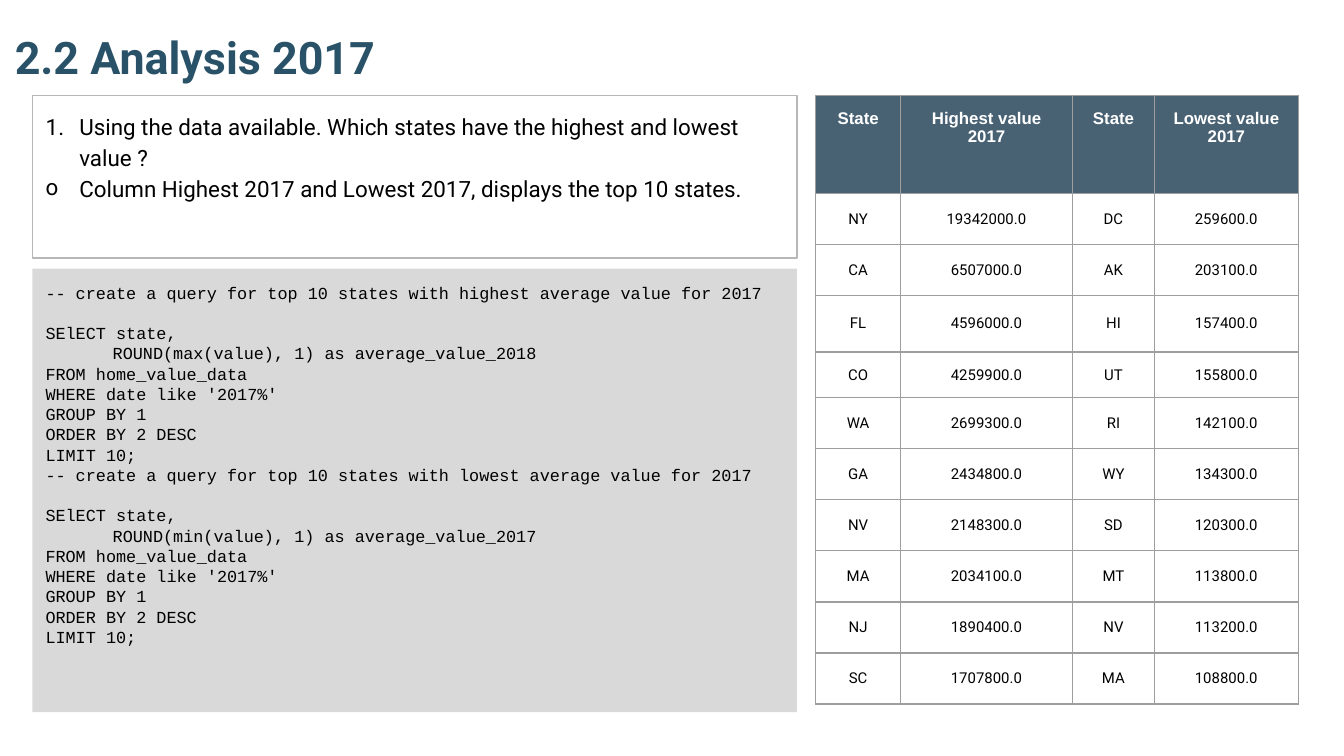
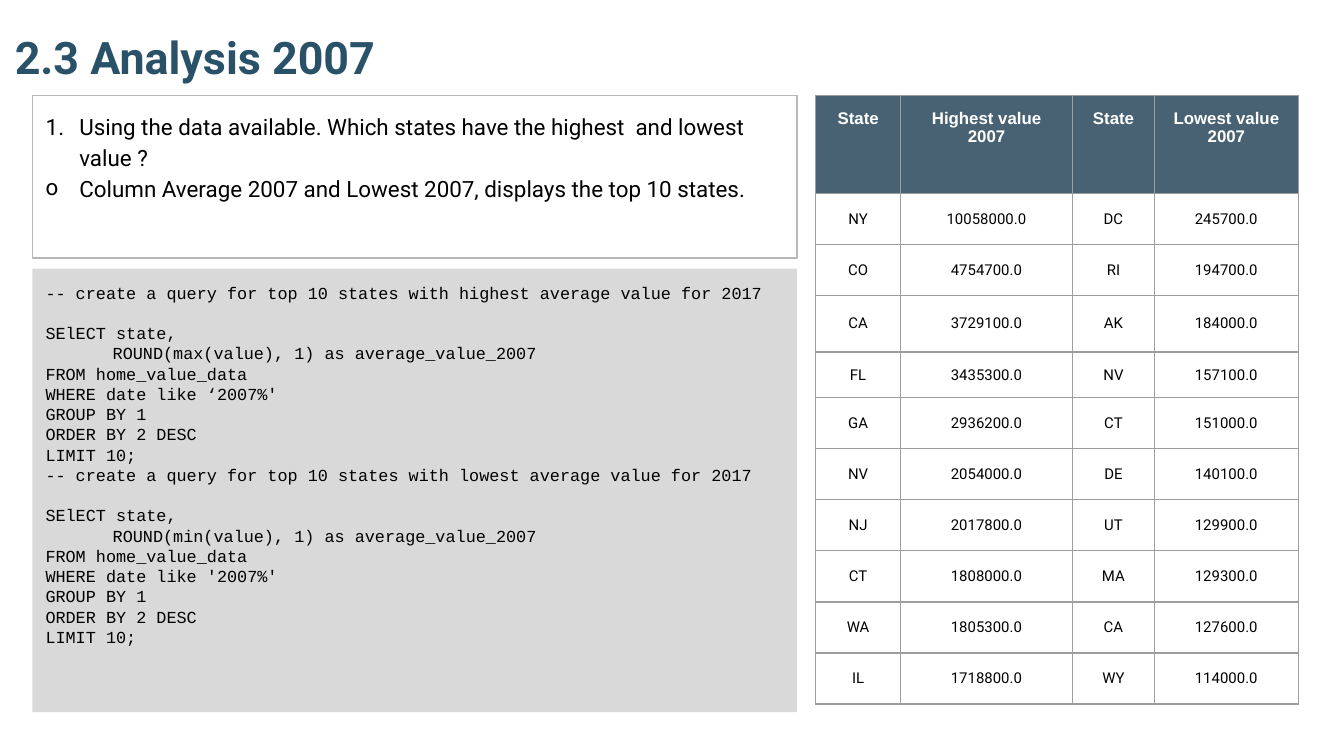
from lxml import etree
from pptx import Presentation
from pptx.dml.color import RGBColor
from pptx.enum.shapes import MSO_SHAPE
from pptx.enum.text import MSO_ANCHOR, MSO_AUTO_SIZE, PP_ALIGN
from pptx.oxml import parse_xml
from pptx.oxml.ns import nsdecls, qn
from pptx.util import Pt

PX = 4572  # EMU; 200 px to the inch
RECT = MSO_SHAPE.RECTANGLE
TOP, MIDDLE, BOTTOM = MSO_ANCHOR.TOP, MSO_ANCHOR.MIDDLE, MSO_ANCHOR.BOTTOM
LEFT, CENTER = PP_ALIGN.LEFT, PP_ALIGN.CENTER
NO_FIT = MSO_AUTO_SIZE.NONE

COLORS = {
    "title": "295269",
    "text": "000000",
    "frame": "B7B7B7",
    "code": "D9D9D9",
    "grid": "9E9E9E",
    "header": "204056",
    "header_text": "FFFFFF",
}
FORMATS = {
    "title": {"name": "Roboto", "size": Pt(24), "bold": True},
    "text": {"name": "Roboto", "size": Pt(12), "bold": False},
    "code": {"name": "Courier New", "size": Pt(9), "bold": False},
    "header": {"name": "Arial", "size": Pt(9), "bold": True},
    "cell": {"name": "Roboto", "size": Pt(8), "bold": False},
}

TITLE_BOX = (2, -40, 1864, 184)
QUESTION_BOX = (48, 142, 1138, 242)
CODE_BOX = (48, 400, 1138, 660)
TABLE_BOX = (1214, 142, 718, 906)
COL_WIDTHS = [126, 256, 122, 214]
ROW_HEIGHTS = [146, 76, 76, 84, 68] + [76] * 6
PAD, CELL_PAD = 20, 2
BULLETS = ['<a:buAutoNum {} type="arabicPeriod"/>', '<a:buChar {} char="o"/>']

ANALYSES = [
    {
        "title": "2.2 Analysis 2017",
        "year": "2017",
        "points": [
            "Using the data available. Which states have the highest and lowest value ?",
            "Column Highest 2017 and Lowest 2017, displays the top 10 states.",
        ],
        "queries": [("highest", "max", "2018", "'"), ("lowest", "min", "2017", "'")],
        "rows": [
            ("NY", "19342000.0", "DC", "259600.0"),
            ("CA", "6507000.0", "AK", "203100.0"),
            ("FL", "4596000.0", "HI", "157400.0"),
            ("CO", "4259900.0", "UT", "155800.0"),
            ("WA", "2699300.0", "RI", "142100.0"),
            ("GA", "2434800.0", "WY", "134300.0"),
            ("NV", "2148300.0", "SD", "120300.0"),
            ("MA", "2034100.0", "MT", "113800.0"),
            ("NJ", "1890400.0", "NV", "113200.0"),
            ("SC", "1707800.0", "MA", "108800.0"),
        ],
    },
    {
        "title": "2.3 Analysis 2007",
        "year": "2007",
        "points": [
            "Using the data available. Which states have the highest  and lowest value ?",
            "Column Average 2007 and Lowest 2007, displays the top 10 states.",
        ],
        "queries": [("highest", "max", "2007", "‘"), ("lowest", "min", "2007", "'")],
        "rows": [
            ("NY", "10058000.0", "DC", "245700.0"),
            ("CO", "4754700.0", "RI", "194700.0"),
            ("CA", "3729100.0", "AK", "184000.0"),
            ("FL", "3435300.0", "NV", "157100.0"),
            ("GA", "2936200.0", "CT", "151000.0"),
            ("NV", "2054000.0", "DE", "140100.0"),
            ("NJ", "2017800.0", "UT", "129900.0"),
            ("CT", "1808000.0", "MA", "129300.0"),
            ("WA", "1805300.0", "CA", "127600.0"),
            ("IL", "1718800.0", "WY", "114000.0"),
        ],
    },
]


def place(sp, box):
    for attr, value in zip(("left", "top", "width", "height"), box):
        setattr(sp, attr, value * PX)


def write(holder, lines, style, color, align=LEFT, anchor=TOP, pad=PAD):
    """Fill a shape or table cell with one paragraph per line."""
    tf = holder.text_frame
    # A cell keeps its margins and anchor itself; a shape keeps them in its frame.
    frame = holder if hasattr(holder, "margin_left") else tf
    for side in ("left", "top", "right", "bottom"):
        setattr(frame, f"margin_{side}", pad * PX)
    frame.vertical_anchor = anchor
    tf.word_wrap = True
    for i, line in enumerate(lines):
        p = tf.paragraphs[0] if i == 0 else tf.add_paragraph()
        p.alignment = align
        p.space_before = Pt(0)
        r = p.add_run()
        r.text = line
        for attr, value in FORMATS[style].items():
            setattr(r.font, attr, value)
        r.font.color.rgb = RGBColor.from_string(COLORS[color])
    return tf


prs = Presentation()
prs.slide_width, prs.slide_height = 2000 * PX, 1125 * PX

for analysis in ANALYSES:
    slide = prs.slides.add_slide(prs.slide_layouts[1])

    # Title
    title = slide.shapes.title
    place(title, TITLE_BOX)
    tf = write(title, [analysis["title"]], "title", "title", anchor=BOTTOM)
    tf.auto_size = NO_FIT

    # Question and answer
    body = slide.placeholders[1]
    place(body, QUESTION_BOX)
    body.line.color.rgb = RGBColor.from_string(COLORS["frame"])
    body.line.width = Pt(0.75)
    tf = write(body, analysis["points"], "text", "text")
    tf.auto_size = NO_FIT
    for p, level, bullet in zip(tf.paragraphs, (0, 4), BULLETS):
        p.level = level
        p.line_spacing = 1.15
        pPr = p._p.get_or_add_pPr()
        pPr.set("marL", str(50 * PX))
        pPr.set("indent", str(-50 * PX))
        ns = nsdecls("a")
        pPr.append(parse_xml(f'<a:buClr {ns}><a:srgbClr val="{COLORS["text"]}"/></a:buClr>'))
        pPr.append(parse_xml(f'<a:buFont {ns} typeface="Roboto"/>'))
        pPr.append(parse_xml(bullet.format(ns)))

    # Highest and lowest values
    year = analysis["year"]
    header = ["State", f"Highest value\n{year}", "State", f"Lowest value\n{year}"]
    rows = [header] + analysis["rows"]
    box = [v * PX for v in TABLE_BOX]
    table = slide.shapes.add_table(len(rows), len(header), *box).table
    table.first_row = table.horz_banding = False
    for col, width in zip(table.columns, COL_WIDTHS):
        col.width = width * PX
    for row, height in zip(table.rows, ROW_HEIGHTS):
        row.height = height * PX
    for i, values in enumerate(rows):
        for j, value in enumerate(values):
            cell = table.cell(i, j)
            if i == 0:
                write(cell, value.split("\n"), "header", "header_text", CENTER)
            else:
                write(cell, [value], "cell", "text", CENTER, MIDDLE, CELL_PAD)
            tcPr = cell._tc.get_or_add_tcPr()
            for side in "LRTB":
                tcPr.append(parse_xml(
                    f'<a:ln{side} {nsdecls("a")} w="9525"><a:solidFill>'
                    f'<a:srgbClr val="{COLORS["grid"]}"/></a:solidFill></a:ln{side}>'))
            if i == 0:
                cell.fill.solid()
                cell.fill.fore_color.rgb = RGBColor.from_string(COLORS["header"])
                clr = tcPr.find(qn("a:solidFill")).find(qn("a:srgbClr"))
                etree.SubElement(clr, qn("a:alpha")).set("val", "82000")
            else:
                cell.fill.background()

    # Queries
    code = []
    for rank, func, alias_year, quote in analysis["queries"]:
        code += [
            f"-- create a query for top 10 states with {rank} average value for 2017",
            "SElECT state,",
            f"\tROUND({func}(value), 1) as average_value_{alias_year}",
            "FROM home_value_data",
            f"WHERE date like {quote}{year}%'",
            "GROUP BY 1",
            "ORDER BY 2 DESC",
            "LIMIT 10;",
        ]
    sp = slide.shapes.add_shape(RECT, *[v * PX for v in CODE_BOX])
    sp.shadow.inherit = False
    sp.fill.solid()
    sp.fill.fore_color.rgb = RGBColor.from_string(COLORS["code"])
    sp.line.fill.background()
    tf = write(sp, code, "code", "text")
    for p in tf.paragraphs:
        if p.text.startswith("SElECT"):
            p.space_before = Pt(11)

prs.save("out.pptx")
